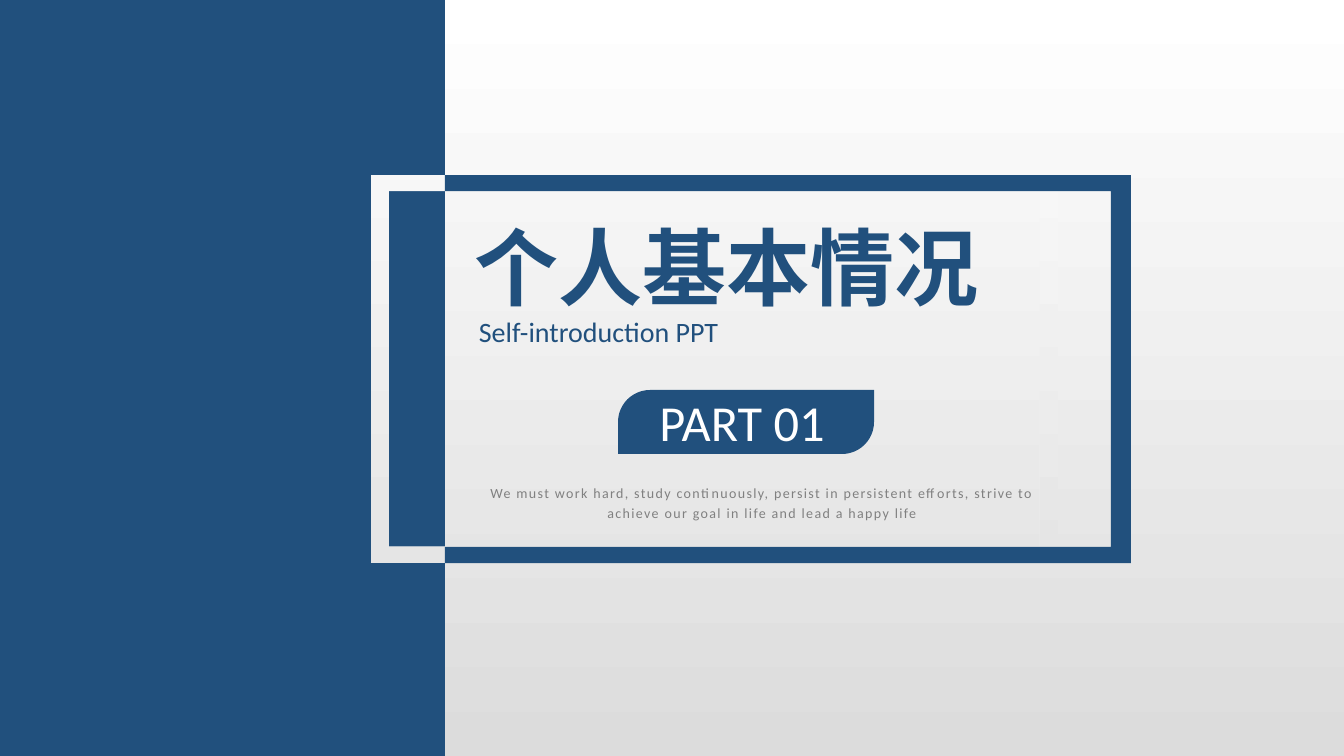
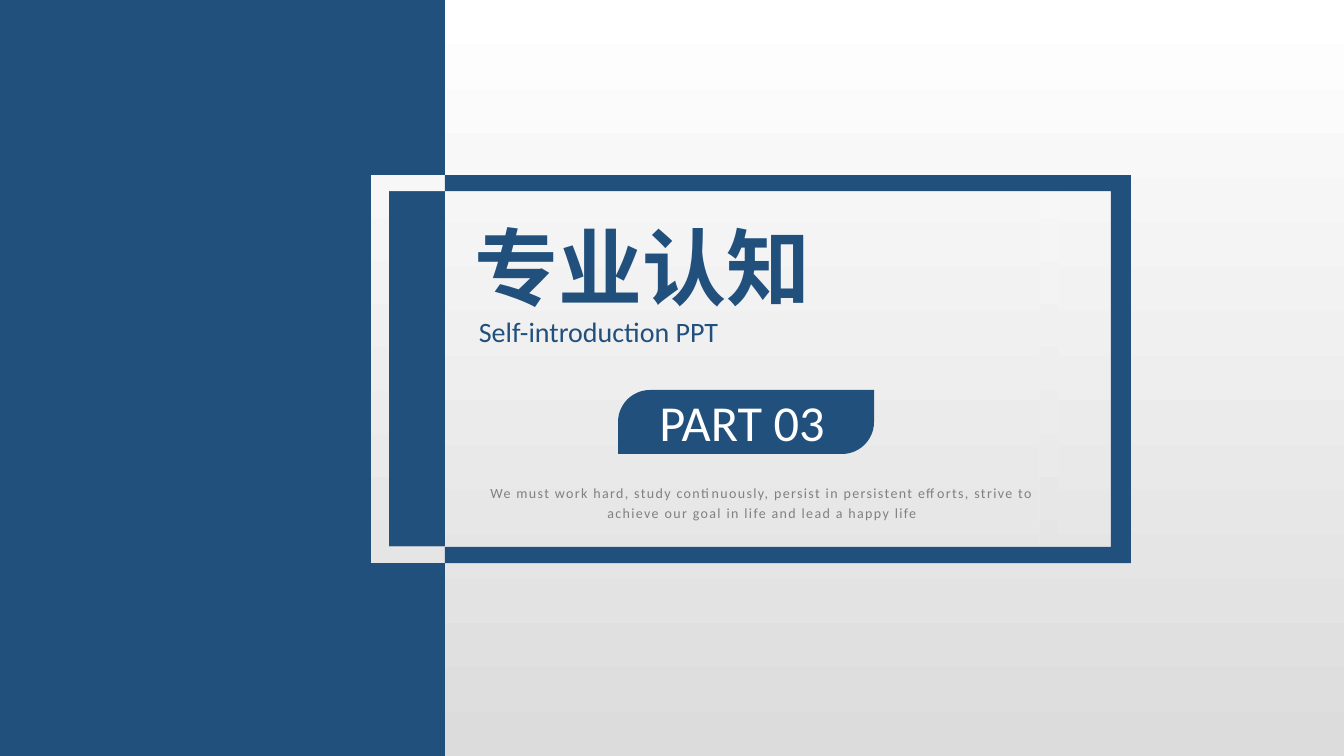
from collections import namedtuple
from dataclasses import dataclass

from pptx import Presentation
from pptx import util as u
from pptx.dml.color import RGBColor
from pptx.enum import shapes, text

PX = 914400 / 100.8
WIDE, HIGH = 1344, 756

Box = namedtuple("Box", "x y w h")
Style = namedtuple("Style", "size color align bold lead track", defaults=(False, None, 0))
ALIGN = text.PP_ALIGN


@dataclass(frozen=True)
class Theme:
    """Hold the colours, font and type styles of the deck."""
    font: str = "Calibri"
    navy: str = "21507D"
    light: int = 255
    dark: int = 220
    title: Style = Style(60, "21507D", ALIGN.JUSTIFY, True)
    sub: Style = Style(20, "21507D", ALIGN.JUSTIFY)
    label: Style = Style(36, "FFFFFF", ALIGN.CENTER)
    note: Style = Style(10, "808080", ALIGN.CENTER, False, 1.2, 100)


THEME = Theme()
SUB = "Self-introduction PPT"
NOTE = ("We must work hard, study continuously, persist in persistent efforts, "
        "strive to achieve our goal in life and lead a happy life")
PARTS = [("个人基本情况", "PART 01"), ("专业认知", "PART 03")]


def emu(n):
    """Turn px into EMU."""
    return u.Emu(round(n * PX))


def inner(box, x, y, w, h):
    """Give a box placed relative to another box."""
    return Box(box.x + x, box.y + y, w, h)


def shade(y):
    """Give the page's grey at height y."""
    grey = round(THEME.light + (THEME.dark - THEME.light) * y / HIGH)
    return RGBColor(grey, grey, grey)


def fade(fill, top, end):
    """Fill with the slice of the page gradient between two heights."""
    fill.gradient()
    fill.gradient_angle = 270
    for stop, y in zip(fill.gradient_stops, (top, end)):
        stop.color.rgb = shade(y)


def plain(shape):
    """Remove the line and shadow of a shape."""
    shape.line.fill.background()
    shape.shadow.inherit = False
    return shape


def paint(shape):
    """Fill a shape with the main colour."""
    plain(shape).fill.solid()
    shape.fill.fore_color.rgb = RGBColor.from_string(THEME.navy)


def block(slide, kind, box):
    """Add a preset shape in the main colour."""
    shape = slide.shapes.add_shape(kind, *map(emu, box))
    paint(shape)
    return shape


def write(slide, box, words, style):
    """Add a text box with one styled run."""
    shape = slide.shapes.add_textbox(*map(emu, box))
    frame = shape.text_frame
    frame.word_wrap = True
    frame.auto_size = text.MSO_AUTO_SIZE.SHAPE_TO_FIT_TEXT
    para = frame.paragraphs[0]
    para.alignment = style.align
    if style.lead:
        para.line_spacing = style.lead
    run = para.add_run()
    run.text = words
    font = run.font
    font.name, font.size, font.bold = THEME.font, u.Pt(style.size), style.bold
    font.color.rgb = RGBColor.from_string(style.color)
    if style.track:
        run._r.get_or_add_rPr().set("spc", str(style.track))


def outline(group, *loops):
    """Build a freeform from closed loops of px points."""
    pen = None
    for loop in loops:
        first, *rest = [(emu(x), emu(y)) for x, y in loop]
        if pen is None:
            pen = group.shapes.build_freeform(*first)
        else:
            pen.move_to(*first)
        pen.add_line_segments(rest, close=True)
    return plain(pen.convert_to_shape())


def border(slide, box, split):
    """Draw the frame, pale before the split and dark after it."""
    left, top, right, end = box.x, box.y, box.x + box.w, box.y + box.h
    high, low = top + 16, end - 16
    far = right - 73
    near, edge = left + 18, far - 18
    group = slide.shapes.add_group_shape()
    ring = outline(
        group,
        [(near, high), (near, low), (edge, low), (edge, high)],
        [(left, top), (far, top), (far, end), (left, end)])
    fade(ring.fill, top, end)
    side = right - 20
    paint(outline(group, [
        (split, high), (side, high), (side, low), (split, low),
        (split, end), (right, end), (right, top), (split, top)]))


def badge(slide, box, label):
    """Draw the part number on its tab."""
    tab = block(slide, shapes.MSO_SHAPE.ROUND_2_DIAG_RECTANGLE, box)
    tab.adjustments[0], tab.adjustments[1] = 0.5, 0
    write(slide, inner(box, 0, -4, 248, 71), label, THEME.label)


def section(deck, title, label):
    """Add one section slide."""
    slide = deck.slides.add_slide(deck.slide_layouts[6])
    fade(slide.background.fill, 0, HIGH)
    band = Box(0, 0, 445, HIGH)
    block(slide, shapes.MSO_SHAPE.RECTANGLE, band)
    box = Box(371, 175, 760, 388)
    border(slide, box, band.w)
    write(slide, inner(box, 94, 36, 594, 112), title, THEME.title)
    write(slide, inner(box, 98, 135, 586, 44), SUB, THEME.sub)
    badge(slide, inner(box, 247, 215, 256, 64), label)
    write(slide, inner(box, 94, 301, 594, 50), NOTE, THEME.note)


def main():
    """Build and save the deck."""
    deck = Presentation()
    deck.slide_width, deck.slide_height = emu(WIDE), emu(HIGH)
    for title, label in PARTS:
        section(deck, title, label)
    deck.save("out.pptx")


if __name__ == "__main__":
    main()
